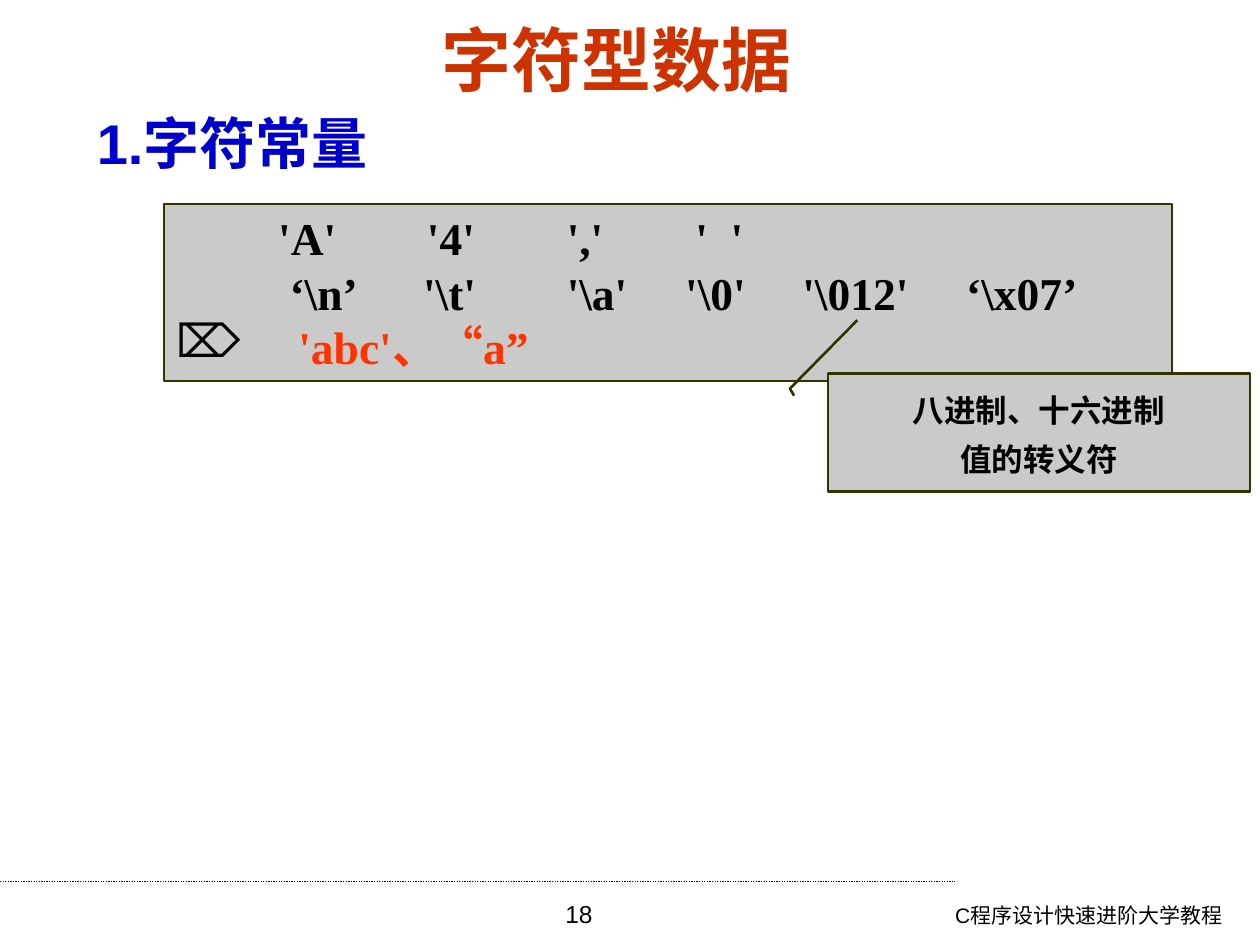
"""Build the slide on character constants and their escape forms."""
from lxml import etree
from pptx import Presentation
from pptx.dml.color import RGBColor
from pptx.enum.dml import MSO_LINE
from pptx.enum.shapes import MSO_CONNECTOR, MSO_SHAPE
from pptx.enum.text import MSO_ANCHOR, MSO_AUTO_SIZE, PP_ALIGN
from pptx.oxml.ns import qn
from pptx.util import Inches, Pt

LEFT, MID, RIGHT = PP_ALIGN.LEFT, PP_ALIGN.CENTER, PP_ALIGN.RIGHT
TOP, CENTER = MSO_ANCHOR.TOP, MSO_ANCHOR.MIDDLE
RECT, CALLOUT = MSO_SHAPE.RECTANGLE, MSO_SHAPE.LINE_CALLOUT_2
THEME = {
    "title": ("Arial", 40, "CC3300", True),
    "head": ("Arial", 32, "0000CC", True),
    "code": ("Times New Roman", 26, "000000", True),
    "wrong": ("Times New Roman", 26, "FF3300", True),
    "note": ("Noto Sans CJK SC", 18, "000000", True),
    "foot": ("Arial", 12, "000000", False),
    "page": ("Arial", 14, "000000", False),
    "fill": "CACACA",
    "edge": "333300",
    "rule": "000000",
}

deck = Presentation()
deck.slide_width, deck.slide_height = Inches(10), Inches(7.5)
W, H = deck.slide_width, deck.slide_height
slide = deck.slides.add_slide(deck.slide_layouts[5])
shapes = slide.shapes


def area(left, top, width, height):
    """Turn shares of the slide into lengths."""
    return int(W * left), int(H * top), int(W * width), int(H * height)


def write(shape, lines, styles, align=LEFT, anchor=TOP, space=1.0):
    """Fill a shape with styled lines."""
    frame = shape.text_frame
    frame.word_wrap, frame.auto_size = True, MSO_AUTO_SIZE.NONE
    frame.vertical_anchor = anchor
    frame.text = "\n".join(lines)
    for para, style in zip(frame.paragraphs, styles):
        para.alignment, para.line_spacing = align, space
        for run in para.runs:
            face, size, color, bold = THEME[style]
            run.font.name, run.font.size, run.font.bold = face, Pt(size), bold
            run.font.color.rgb = RGBColor.from_string(color)
    return frame


rule = shapes.add_connector(MSO_CONNECTOR.STRAIGHT, 0, int(H * 0.933), int(W * 0.758), int(H * 0.933))
rule.line.color.rgb = RGBColor.from_string(THEME["rule"])
rule.line.width, rule.line.dash_style = Pt(0.75), MSO_LINE.ROUND_DOT
etree.SubElement(rule._element.spPr, qn("a:effectLst"))

title = shapes.title
title.left, title.top, title.width, title.height = area(0.043, 0.028, 0.905, 0.067)
write(title, ["字符型数据 "], ["title"], MID, CENTER)

for text, style, align, space, place in [
    ("C程序设计快速进阶大学教程", "foot", RIGHT, 1.0, (0.657, 0.948, 0.323, 0.052)),
    ("18", "page", MID, 1.0, (0.343, 0.945, 0.233, 0.055)),
    ("1.字符常量", "head", LEFT, 1.1, (0.067, 0.101, 0.89, 0.1)),
]:
    write(shapes.add_textbox(*area(*place)), [text], [style], align, TOP, space)

panels = []
for kind, width, place in [
    (RECT, 1, (0.13, 0.216, 0.8, 0.187)),
    (CALLOUT, 1.5, (0.657, 0.395, 0.335, 0.125)),
]:
    panel = shapes.add_shape(kind, *area(*place))
    panel.shadow.inherit = False
    panel.fill.solid()
    panel.fill.fore_color.rgb = RGBColor.from_string(THEME["fill"])
    panel.line.color.rgb = RGBColor.from_string(THEME["edge"])
    panel.line.width = Pt(width)
    panels.append(panel)
codes, note = panels

rows = [
    ["", "'A'", "'4'", "','", "'  '"],
    ["", r"‘\n’", r"'\t'", r"'\a'", r"'\0'", r"'\012'", r"‘\x07’"],
    ["'abc'、“a”"],
]
stops = [
    [0.81, 1.99, 3.1, 4.12],
    [0.9, 1.96, 3.1, 4.04, 4.97, 6.27],
    [0.97],
]
frame = write(codes, ["\t".join(row) for row in rows], ["code", "code", "wrong"])
for para, marks in zip(frame.paragraphs, stops):
    props = para._p.get_or_add_pPr()
    if para is frame.paragraphs[-1] or len(marks) == 1:
        indent = Inches(marks[0])
        props.set("marL", str(indent))
        props.set("indent", str(-indent))
        tint = etree.SubElement(props, qn("a:buClr"))
        etree.SubElement(tint, qn("a:srgbClr"), val=THEME["code"][2])
        etree.SubElement(props, qn("a:buChar"), char="⌦")
    tabs = etree.SubElement(props, qn("a:tabLst"))
    for mark in marks:
        etree.SubElement(tabs, qn("a:tab"), pos=str(Inches(mark)), algn="l")

for index, value in enumerate([0.19, -0.08, 0.13, -0.09, -0.45, 0.07]):
    note.adjustments[index] = value
write(note, ["八进制、十六进制", "值的转义符"], ["note"] * 2, MID, TOP, 1.3)

deck.save("out.pptx")
